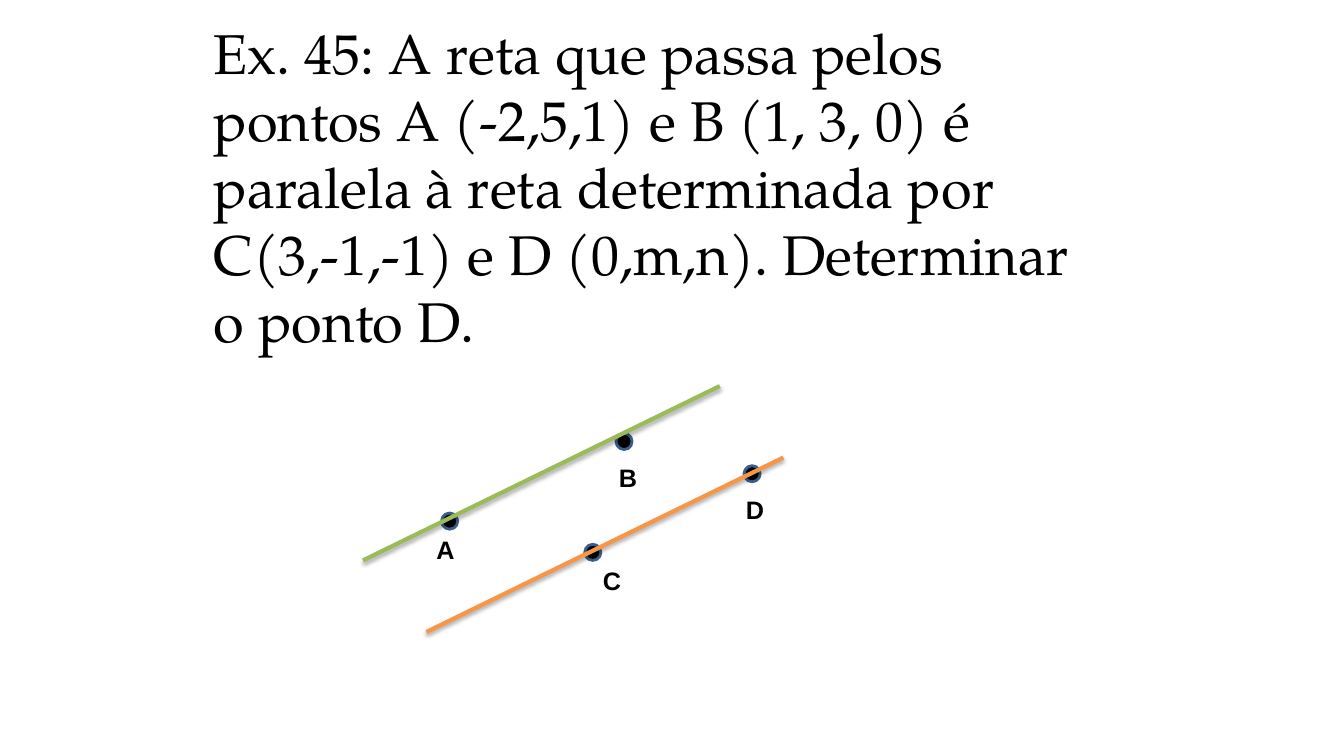
"""Builds the slide of exercise 45: two parallel lines through A, B and C, D."""
import pptx
import pptx.dml.color
import pptx.enum.shapes
import pptx.enum.text
import pptx.oxml
import pptx.util

Inches = pptx.util.Inches
Pt = pptx.util.Pt
RGBColor = pptx.dml.color.RGBColor

BLACK = RGBColor(0x00, 0x00, 0x00)
BLUE = RGBColor(0x3A, 0x5F, 0x8C)
GREEN = RGBColor(0x9B, 0xBB, 0x59)
ORANGE = RGBColor(0xF7, 0x96, 0x46)

SHADOW = (
    '<a:effectLst xmlns:a="http://schemas.openxmlformats.org/drawingml/2006/main">'
    '<a:outerShdw blurRad="40000" dist="23000" dir="5400000" rotWithShape="0">'
    '<a:srgbClr val="000000"><a:alpha val="35000"/></a:srgbClr>'
    '</a:outerShdw></a:effectLst>'
)
DOT_SIZE = 0.16

presentation = pptx.Presentation()
presentation.slide_width = Inches(13.33)
presentation.slide_height = Inches(7.5)
slide = presentation.slides.add_slide(presentation.slide_layouts[5])

title = slide.shapes.title
title.left, title.top = Inches(2.02), Inches(0.13)
title.width, title.height = Inches(9.07), Inches(3.43)
title.text_frame.text = (
    "Ex. 45: A reta que passa pelos pontos A (-2,5,1) e B (1, 3, 0) é paralela "
    "à reta determinada por C(3,-1,-1) e D (0,m,n). Determinar o ponto D."
)
title.text_frame.word_wrap = True
title.text_frame.auto_size = pptx.enum.text.MSO_AUTO_SIZE.NONE
title.text_frame.vertical_anchor = pptx.enum.text.MSO_ANCHOR.TOP
paragraph = title.text_frame.paragraphs[0]
paragraph.alignment = pptx.enum.text.PP_ALIGN.LEFT
paragraph.line_spacing = Pt(48)
paragraph.font.name = "TeX Gyre Pagella"
paragraph.font.size = Pt(40)
paragraph.font.bold = False
paragraph.font.color.rgb = BLACK

points = [
    ("A", 4.38, 5.09, 4.23, 5.25),
    ("B", 6.11, 4.3, 6.04, 4.54),
    ("C", 5.8, 5.4, 5.88, 5.56),
    ("D", 7.38, 4.62, 7.3, 4.85),
]
for name, dot_left, dot_top, label_left, label_top in points:
    dot = slide.shapes.add_shape(
        pptx.enum.shapes.MSO_SHAPE.OVAL,
        Inches(dot_left), Inches(dot_top), Inches(DOT_SIZE), Inches(DOT_SIZE),
    )
    dot.shadow.inherit = False
    dot.fill.solid()
    dot.fill.fore_color.rgb = BLACK
    dot.line.color.rgb = BLUE
    dot.line.width = Pt(2)

    label = slide.shapes.add_textbox(
        Inches(label_left), Inches(label_top), Inches(0.38), Inches(0.4)
    )
    label.text_frame.text = name
    label.text_frame.word_wrap = False
    label.text_frame.auto_size = pptx.enum.text.MSO_AUTO_SIZE.SHAPE_TO_FIT_TEXT
    paragraph = label.text_frame.paragraphs[0]
    paragraph.font.name = "Arial"
    paragraph.font.size = Pt(18)
    paragraph.font.bold = True
    paragraph.font.color.rgb = BLACK

for left, bottom, color in [(3.6, 5.56, GREEN), (4.23, 6.27, ORANGE)]:
    line = slide.shapes.add_connector(
        pptx.enum.shapes.MSO_CONNECTOR.STRAIGHT,
        Inches(left), Inches(bottom), Inches(left + 3.54), Inches(bottom - 1.73),
    )
    line.line.color.rgb = color
    line.line.width = Pt(3)
    line._element.spPr.append(pptx.oxml.parse_xml(SHADOW))

presentation.save("out.pptx")
